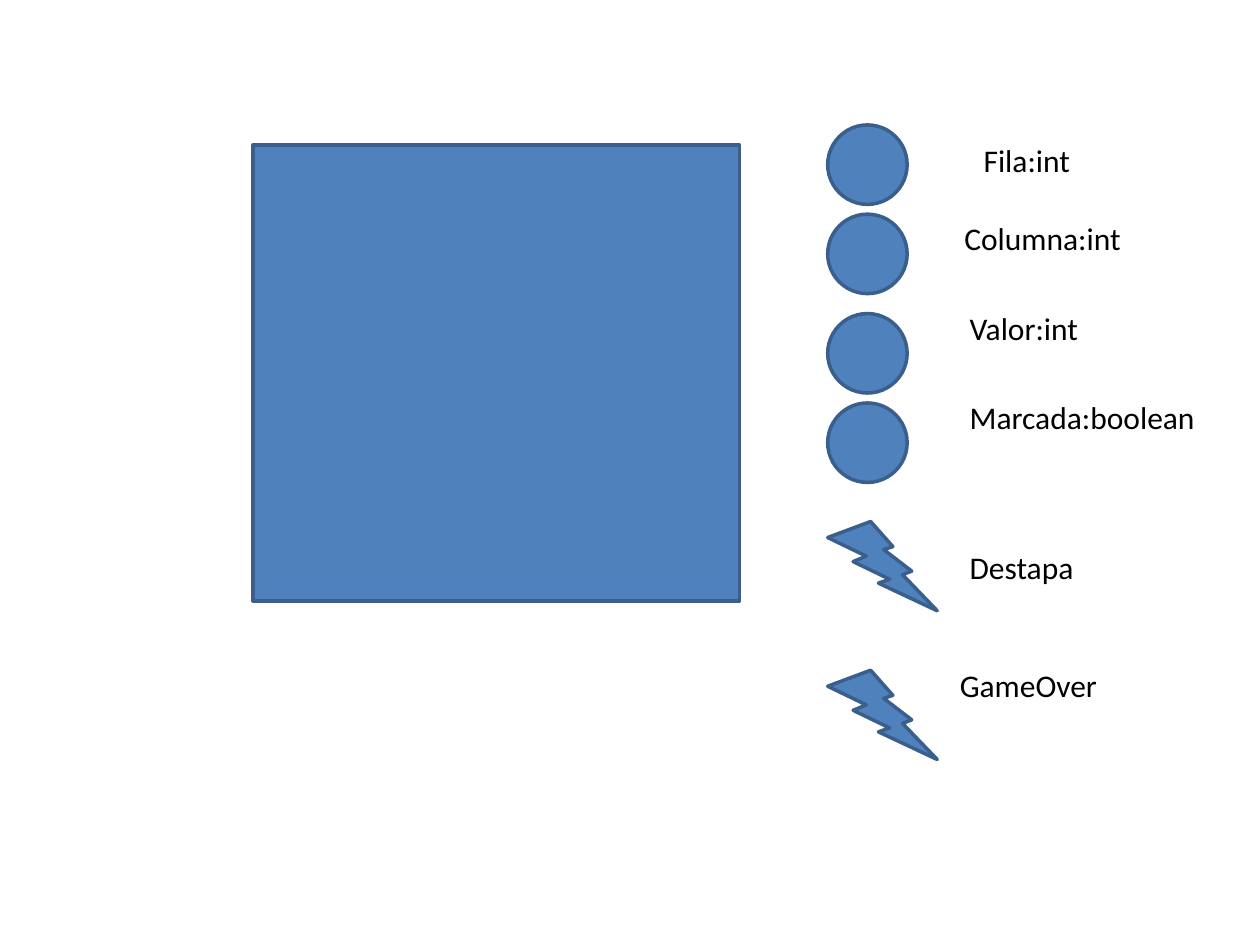
from dataclasses import dataclass

from pptx import Presentation
from pptx.dml import color
from pptx.enum import shapes, text
from pptx.util import Pt

BLUE = "4F81BD"
DARK_BLUE = "3A5F8C"
BLACK = "000000"
ICON_LEFT = 473
KIND = shapes.MSO_SHAPE


@dataclass
class Figure:
    kind: shapes.MSO_SHAPE
    left: float
    top: float
    width: float
    height: float


@dataclass
class Member:
    wording: str
    left: float
    top: float
    width: float
    icon_top: float


def rgb(code: str) -> color.RGBColor:
    return color.RGBColor.from_string(code)


def draw_figure(page, figure: Figure) -> None:
    shape = page.shapes.add_shape(
        figure.kind, Pt(figure.left), Pt(figure.top), Pt(figure.width), Pt(figure.height)
    )
    shape.shadow.inherit = False
    shape.fill.solid()
    shape.fill.fore_color.rgb = rgb(BLUE)
    shape.line.color.rgb = rgb(DARK_BLUE)
    shape.line.width = Pt(2)


def draw_label(page, member: Member) -> None:
    box = page.shapes.add_textbox(
        Pt(member.left), Pt(member.top), Pt(member.width), Pt(29)
    )
    frame = box.text_frame
    frame.word_wrap = False
    frame.auto_size = text.MSO_AUTO_SIZE.SHAPE_TO_FIT_TEXT
    span = frame.paragraphs[0].add_run()
    span.text = member.wording
    span.font.name = "Calibri"
    span.font.size = Pt(18)
    span.font.color.rgb = rgb(BLACK)


def draw_members(page, members: list[Member], kind, width: float, height: float) -> None:
    for member in members:
        draw_figure(page, Figure(kind, ICON_LEFT, member.icon_top, width, height))
        draw_label(page, member)


ATTRIBUTES = [
    Member("Fila:int", 555, 77, 64.8, 71.4),
    Member("Columna:int", 544, 121.7, 105, 122.4),
    Member("Valor:int", 547, 172.8, 77, 179.2),
    Member("Marcada:boolean", 547, 223.9, 144.7, 230.3),
]
EVENTS = [
    Member("Destapa", 547, 309.6, 75, 298),
    Member("GameOver", 541.4, 377.3, 93.6, 383),
]

deck = Presentation()
deck.slide_width, deck.slide_height = Pt(720), Pt(540)
page = deck.slides.add_slide(deck.slide_layouts[6])

draw_figure(page, Figure(KIND.RECTANGLE, 144.6, 82.8, 278, 260.6))
draw_members(page, ATTRIBUTES, KIND.OVAL, 45.4, 45.4)
draw_members(page, EVENTS, KIND.LIGHTNING_BOLT, 62.6, 51)

deck.save("out.pptx")
